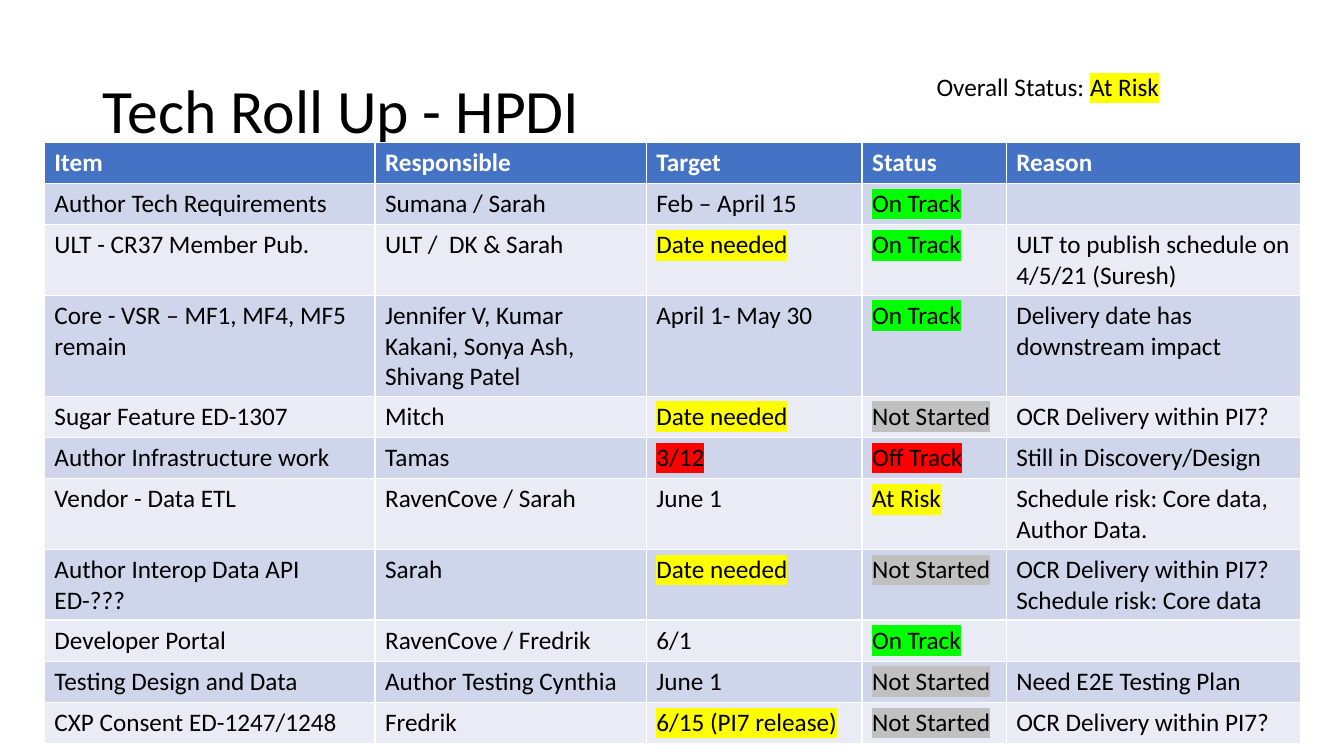
from dataclasses import dataclass

from lxml.etree import SubElement
from pptx import Presentation
from pptx.dml.color import RGBColor
from pptx.enum.text import MSO_ANCHOR as Anchor, MSO_AUTO_SIZE as AutoSize, PP_ALIGN as Align
from pptx.oxml.ns import qn
from pptx.util import Inches, Pt


@dataclass(frozen=True)
class Theme:
    font: str = "Calibri"
    title_size: int = 44
    body_size: int = 18
    text: str = "000000"
    header_text: str = "FFFFFF"
    header_fill: str = "4472C4"
    bands: tuple = ("CFD5EA", "E9EBF5")
    green: str = "00FF00"
    yellow: str = "FFFF00"
    red: str = "FF0000"
    gray: str = "C0C0C0"


THEME = Theme()

HIGHLIGHTS = {
    "On Track": THEME.green,
    "At Risk": THEME.yellow,
    "Off Track": THEME.red,
    "Not Started": THEME.gray,
    "Date needed": THEME.yellow,
    "3/12": THEME.red,
    "6/15 (PI7 release)": THEME.yellow,
}

COLUMNS = {"Item": 3.28, "Responsible": 2.69, "Target": 2.14, "Status": 1.43, "Reason": 2.92}
ROW_HEIGHT = 0.41

ITEMS = [
    ("Author Tech Requirements", "Sumana / Sarah", "Feb – April 15", "On Track", ""),
    ("ULT - CR37 Member Pub.", "ULT /  DK & Sarah", "Date needed", "On Track",
     "ULT to publish schedule on 4/5/21 (Suresh)"),
    ("Core - VSR – MF1, MF4, MF5 remain", "Jennifer V, Kumar Kakani, Sonya Ash, Shivang Patel",
     "April 1- May 30", "On Track", "Delivery date has downstream impact"),
    ("Sugar Feature ED-1307", "Mitch", "Date needed", "Not Started", "OCR Delivery within PI7?"),
    ("Author Infrastructure work", "Tamas", "3/12", "Off Track", "Still in Discovery/Design"),
    ("Vendor - Data ETL", "RavenCove / Sarah", "June 1", "At Risk",
     "Schedule risk: Core data, Author Data."),
    ("Author Interop Data API\nED-???", "Sarah", "Date needed", "Not Started",
     "OCR Delivery within PI7?\vSchedule risk: Core data"),
    ("Developer Portal", "RavenCove / Fredrik", "6/1", "On Track", ""),
    ("Testing Design and Data", "Author Testing Cynthia", "June 1", "Not Started",
     "Need E2E Testing Plan"),
    ("CXP Consent ED-1247/1248", "Fredrik", "6/15 (PI7 release)", "Not Started",
     "OCR Delivery within PI7?"),
]


def format_paragraph(paragraph, size, color, bold=False):
    font = paragraph.font
    font.name = THEME.font
    font.size = Pt(size)
    font.bold = bold
    font.color.rgb = RGBColor.from_string(color)


def highlight(run):
    properties = run._r.get_or_add_rPr()
    mark = SubElement(properties, qn("a:highlight"))
    SubElement(mark, qn("a:srgbClr"), val=HIGHLIGHTS[run.text])


def place(shape, box):
    shape.left, shape.top, shape.width, shape.height = map(Inches, box)


def add_title(slide, box, text):
    title = slide.shapes.title
    place(title, box)
    frame = title.text_frame
    frame.text = text
    frame.auto_size = AutoSize.NONE
    frame.vertical_anchor = Anchor.MIDDLE
    paragraph = frame.paragraphs[0]
    paragraph.alignment = Align.LEFT
    paragraph.line_spacing = 0.9
    format_paragraph(paragraph, THEME.title_size, THEME.text)


def add_overall_status(slide, box, label, status):
    frame = slide.shapes.add_textbox(*map(Inches, box)).text_frame
    frame.word_wrap = True
    paragraph = frame.paragraphs[0]
    format_paragraph(paragraph, THEME.body_size, THEME.text)
    paragraph.add_run().text = label
    status_run = paragraph.add_run()
    status_run.text = status
    highlight(status_run)


def fill_cell(cell, text, fill, color, bold):
    cell.fill.solid()
    cell.fill.fore_color.rgb = RGBColor.from_string(fill)
    cell.text_frame.text = text
    for paragraph in cell.text_frame.paragraphs:
        format_paragraph(paragraph, THEME.body_size, color, bold)
        for run in paragraph.runs:
            if run.text in HIGHLIGHTS:
                highlight(run)


def add_status_table(slide, left, top):
    rows = [tuple(COLUMNS), *ITEMS]
    width, height = sum(COLUMNS.values()), ROW_HEIGHT * len(rows)
    box = map(Inches, (left, top, width, height))
    table = slide.shapes.add_table(len(rows), len(COLUMNS), *box).table
    for column, column_width in zip(table.columns, COLUMNS.values()):
        column.width = Inches(column_width)
    for index, values in enumerate(rows):
        table.rows[index].height = Inches(ROW_HEIGHT)
        is_header = index == 0
        fill = THEME.header_fill if is_header else THEME.bands[(index - 1) % 2]
        color = THEME.header_text if is_header else THEME.text
        for cell, text in zip(table.rows[index].cells, values):
            fill_cell(cell, text, fill, color, is_header)


def main():
    presentation = Presentation()
    presentation.slide_width = Inches(13.33)
    presentation.slide_height = Inches(7.5)
    slide = presentation.slides.add_slide(presentation.slide_layouts.get_by_name("Title Only"))
    add_overall_status(slide, (9.19, 0.66, 2.95, 0.4), "Overall Status: ", "At Risk")
    add_title(slide, (0.92, 0.4, 8.01, 1.45), "Tech Roll Up - HPDI")
    add_status_table(slide, 0.44, 1.41)
    presentation.save("out.pptx")


if __name__ == "__main__":
    main()
